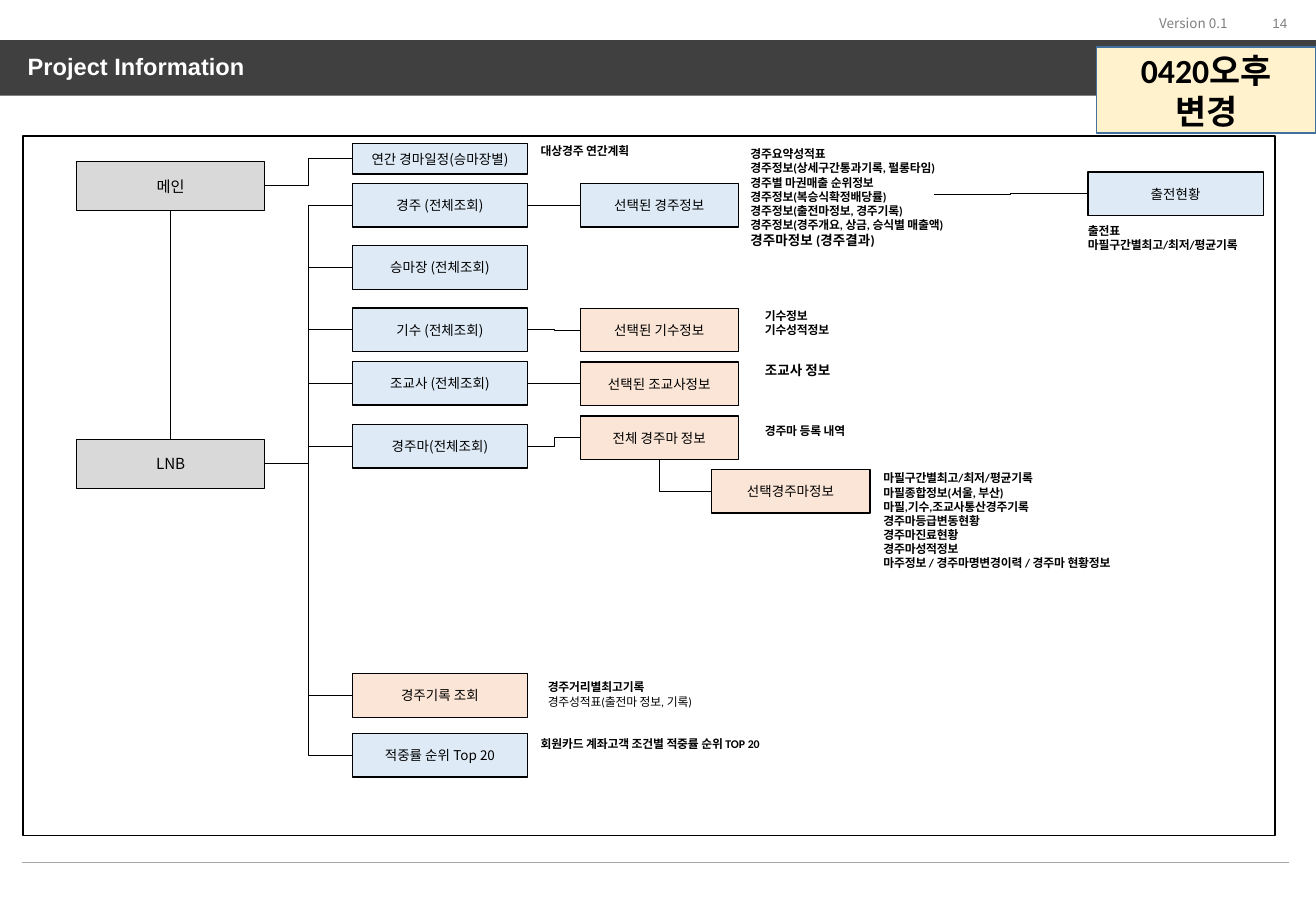
from lxml.etree import SubElement
from pptx import Presentation
from pptx.dml.color import RGBColor
from pptx.enum.shapes import MSO_CONNECTOR, MSO_SHAPE
from pptx.enum.text import MSO_ANCHOR, PP_ALIGN
from pptx.oxml.ns import qn
from pptx.util import Cm, Pt

BLACK = RGBColor(0x00, 0x00, 0x00)
WHITE = RGBColor(0xFF, 0xFF, 0xFF)
HEADER_GRAY = RGBColor(0x40, 0x40, 0x40)
META_GRAY = RGBColor(0x7F, 0x7F, 0x7F)
RULE_GRAY = RGBColor(0xA6, 0xA6, 0xA6)
ROOT_GRAY = RGBColor(0xD9, 0xD9, 0xD9)
BLUE = RGBColor(0xDE, 0xEB, 0xF7)
PEACH = RGBColor(0xFB, 0xE5, 0xD6)
CREAM = RGBColor(0xFF, 0xF2, 0xCC)
BADGE_BLUE = RGBColor(0x41, 0x71, 0x9C)

SANS = "Noto Sans CJK KR"
BOX_TEXT = {"name": SANS, "size": Pt(8), "bold": False}
ROOT_TEXT = {**BOX_TEXT, "size": Pt(9)}
NOTE_TEXT = {"name": "Calibri", "size": Pt(7), "bold": True}
BADGE_TEXT = {**NOTE_TEXT, "size": Pt(20)}
TITLE_TEXT = {"name": "Arial", "size": Pt(14), "bold": True}
LARGER = {"size": Pt(8)}
PLAIN = {"bold": False}

# Columns as (left, width) and the common box height, in cm
ROOT_COLUMN = (1.6, 3.94)
MENU_COLUMN = (7.37, 3.67)
DETAIL_COLUMN = (12.14, 3.31)
BOX_HEIGHT = 0.91
NOTE_LINE = 0.3

# Menu entries: label, top, fill
MENUS = [
    ("경주 (전체조회)", 3.84, BLUE),
    ("승마장 (전체조회)", 5.14, BLUE),
    ("기수 (전체조회)", 6.44, BLUE),
    ("조교사 (전체조회)", 7.56, BLUE),
    ("경주마(전체조회)", 8.88, BLUE),
    ("경주기록 조회", 14.09, PEACH),
    ("적중률 순위 Top 20", 15.34, BLUE),
]

# Detail pages: menu they open from, label, top, fill
DETAILS = [
    ("경주 (전체조회)", "선택된 경주정보", 3.84, BLUE),
    ("기수 (전체조회)", "선택된 기수정보", 6.45, PEACH),
    ("조교사 (전체조회)", "선택된 조교사정보", 7.57, PEACH),
    ("경주마(전체조회)", "전체 경주마 정보", 8.7, PEACH),
]

# Notes: left, top, width, lines (a line may carry its own format)
NOTES = [
    (11.31, 3.0, 5.23, ["대상경주 연간계획"]),
    (15.7, 3.08, 5.23, [
        "경주요약성적표",
        "경주정보(상세구간통과기록, 펄롱타임)",
        "경주별 마권매출 순위정보",
        "경주정보(복승식확정배당률)",
        "경주정보(출전마정보, 경주기록)",
        "경주정보(경주개요, 상금, 승식별 매출액)",
        ("경주마정보 (경주결과)", LARGER),
    ]),
    (22.76, 4.68, 3.66, ["출전표", "마필구간별최고/최저/평균기록"]),
    (16.0, 6.45, 5.23, ["기수정보", "기수성적정보"]),
    (16.0, 7.58, 5.23, [("조교사 정보", LARGER)]),
    (16.0, 8.86, 5.23, ["경주마 등록 내역"]),
    (18.48, 9.84, 6.65, [
        "마필구간별최고/최저/평균기록",
        "마필종합정보(서울, 부산)",
        "마필,기수,조교사통산경주기록",
        "경주마등급변동현황",
        "경주마진료현황",
        "경주마성적정보",
        "마주정보 / 경주마명변경이력 / 경주마 현황정보",
    ]),
    (11.46, 14.22, 6.27, ["경주거리별최고기록",
                          ("경주성적표(출전마 정보, 기록)", PLAIN)]),
    (11.31, 15.4, 6.65, ["회원카드 계좌고객 조건별 적중률 순위 TOP 20"]),
]


def set_all(target, values):
    for name, value in values.items():
        setattr(target, name, value)


def write(frame, lines, text_format, color=BLACK, align=PP_ALIGN.LEFT,
          inset=(0.25, 0.13), wrap=True):
    side, end = map(Cm, inset)
    set_all(frame, {"margin_left": side, "margin_right": side,
                    "margin_top": end, "margin_bottom": end,
                    "word_wrap": wrap, "vertical_anchor": MSO_ANCHOR.MIDDLE})
    for index, line in enumerate(lines):
        text, changes = (line, {}) if isinstance(line, str) else line
        paragraph = frame.add_paragraph() if index else frame.paragraphs[0]
        paragraph.alignment = align
        run = paragraph.add_run()
        run.text = text
        set_all(run.font, {**text_format, **changes})
        run.font.color.rgb = color
        east_asian = SubElement(run._r.get_or_add_rPr(), qn("a:ea"))
        east_asian.set("typeface", text_format["name"])


def add_box(slide, place, fill=None, line=None, weight=0.75):
    box = slide.shapes.add_shape(MSO_SHAPE.RECTANGLE, *map(Cm, place))
    box.shadow.inherit = False
    if fill is None:
        box.fill.background()
    else:
        box.fill.solid()
        box.fill.fore_color.rgb = fill
    if line is None:
        box.line.fill.background()
    else:
        box.line.color.rgb = line
        box.line.width = Pt(weight)
    return box


def add_node(slide, label, column, top, fill, height=BOX_HEIGHT,
             text_format=BOX_TEXT):
    left, width = column
    node = add_box(slide, (left, top, width, height), fill, BLACK)
    write(node.text_frame, [label], text_format, align=PP_ALIGN.CENTER)
    return node


def add_text(slide, place, lines, text_format, **options):
    box = slide.shapes.add_textbox(*map(Cm, place))
    write(box.text_frame, lines, text_format, **options)


def add_line(slide, kind, ends=(0, 0, 0, 0), color=BLACK):
    line = slide.shapes.add_connector(kind, *map(Cm, ends))
    line.line.color.rgb = color
    line.line.width = Pt(0.5)
    SubElement(line._element.spPr, qn("a:effectLst"))
    return line


def join(slide, start, end, sides=(3, 1), kind=MSO_CONNECTOR.ELBOW):
    line = add_line(slide, kind)
    line.begin_connect(start, sides[0])
    line.end_connect(end, sides[1])
    return line


def join_down_right(slide, upper, lower):
    """One bend: down from the upper box, then right into the lower one."""
    line = join(slide, upper, lower, (2, 1))
    across, down = line.width, line.height
    set_all(line, {"left": line.left + (across - down) // 2,
                   "top": line.top + (down - across) // 2,
                   "width": down, "height": across})
    xfrm = line._element.spPr.find(qn("a:xfrm"))
    xfrm.set("rot", "16200000")
    xfrm.set("flipH", "1")
    line._element.spPr.find(qn("a:prstGeom")).set("prst", "bentConnector2")


def add_header(slide):
    meta = {**BOX_TEXT, "name": "Arial"}
    add_text(slide, (25.17, 0.2, 2.01, 0.56), ["14"], meta,
             color=META_GRAY, align=PP_ALIGN.RIGHT)
    add_text(slide, (24.0, 0.18, 1.98, 0.61), ["Version 0.1"], BOX_TEXT,
             color=META_GRAY, wrap=False)
    add_line(slide, MSO_CONNECTOR.STRAIGHT, (0.46, 18.03, 26.97, 18.03), RULE_GRAY)
    add_box(slide, (0, 0.84, 27.53, 1.16), HEADER_GRAY)

    title = slide.shapes.title
    set_all(title, {"left": Cm(0.33), "top": Cm(1.02),
                    "width": Cm(26.87), "height": Cm(0.79)})
    write(title.text_frame, ["Project Information"], TITLE_TEXT, color=WHITE)
    title.text_frame.paragraphs[0].line_spacing = 0.9
    slide.shapes._spTree.append(title._element)  # bring above the bar


def add_site_map(slide):
    add_box(slide, (0.48, 2.84, 26.19, 14.63), line=BLACK, weight=1)

    # Roots
    main_page = add_node(slide, "메인", ROOT_COLUMN, 3.38, ROOT_GRAY, 1.02, ROOT_TEXT)
    lnb = add_node(slide, "LNB", ROOT_COLUMN, 9.19, ROOT_GRAY, 1.02, ROOT_TEXT)
    join(slide, main_page, lnb, (2, 0), MSO_CONNECTOR.STRAIGHT)

    # Menus
    schedule = add_node(slide, "연간 경마일정(승마장별)", MENU_COLUMN, 3.0, BLUE, 0.64)
    join(slide, main_page, schedule)
    pages = {}
    for label, top, fill in MENUS:
        pages[label] = add_node(slide, label, MENU_COLUMN, top, fill)
        join(slide, lnb, pages[label])

    # Detail pages
    for menu, label, top, fill in DETAILS:
        pages[label] = add_node(slide, label, DETAIL_COLUMN, top, fill)
        join(slide, pages[menu], pages[label])
    chosen_horse = add_node(slide, "선택경주마정보", (14.88, 3.32), 9.82, PEACH)
    join_down_right(slide, pages["전체 경주마 정보"], chosen_horse)
    entries = add_node(slide, "출전현황", (22.76, 3.67), 3.6, BLUE)
    entry_link = add_line(slide, MSO_CONNECTOR.ELBOW, (22.76, 4.05, 19.54, 4.07))
    entry_link.begin_connect(entries, 1)

    # Notes
    for left, top, width, lines in NOTES:
        add_text(slide, (left, top, width, NOTE_LINE * len(lines)), lines,
                 NOTE_TEXT, inset=(0, 0))


def main():
    deck = Presentation()
    set_all(deck, {"slide_width": Cm(27.53), "slide_height": Cm(19.05)})
    slide = deck.slides.add_slide(deck.slide_layouts[5])
    add_header(slide)
    add_site_map(slide)

    # Change badge
    badge = add_box(slide, (22.94, 0.99, 4.59, 1.8), CREAM, BADGE_BLUE, 1)
    write(badge.text_frame, ["0420오후", "변경"], BADGE_TEXT,
          align=PP_ALIGN.CENTER, inset=(0, 0), wrap=False)
    deck.save("out.pptx")


if __name__ == "__main__":
    main()
